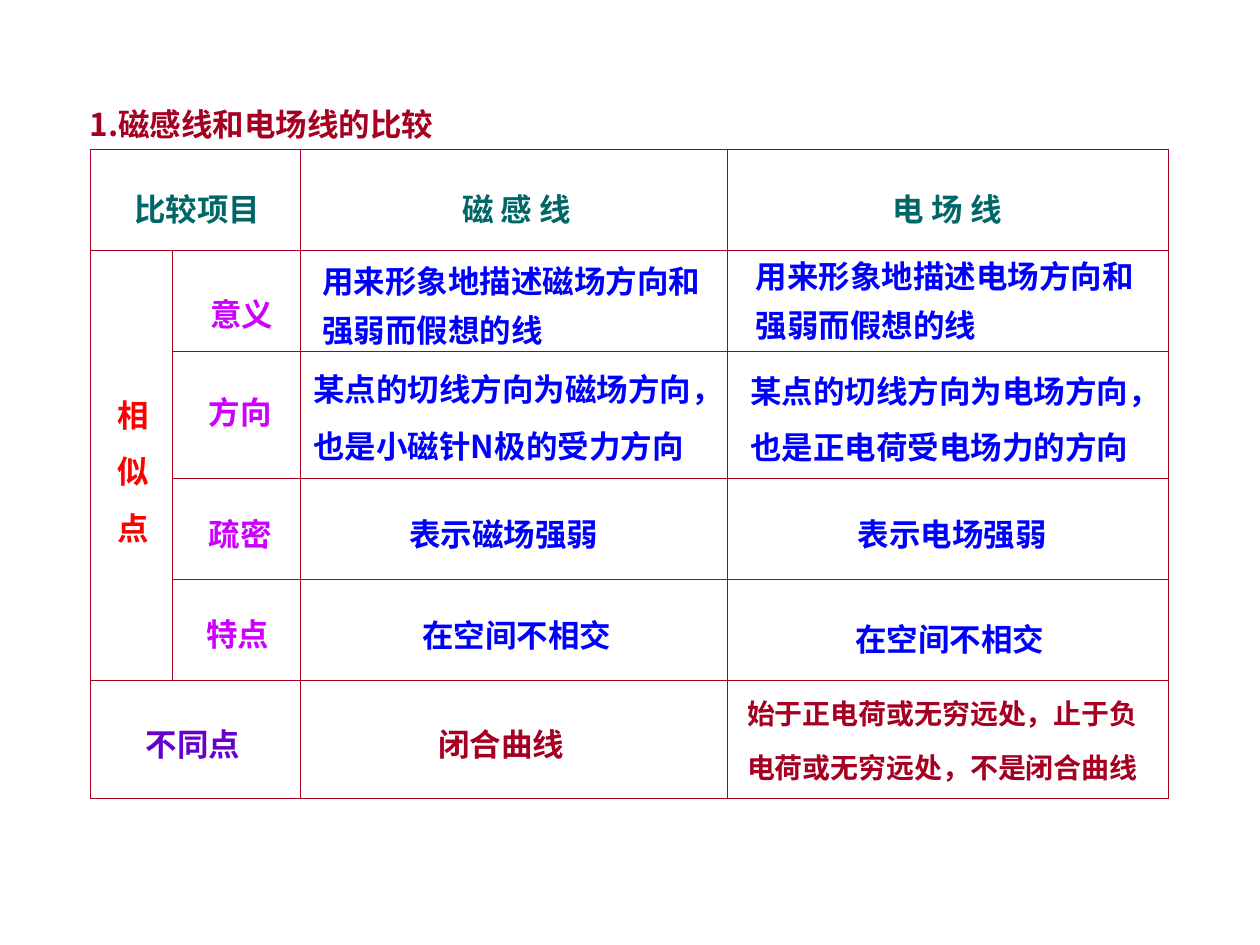
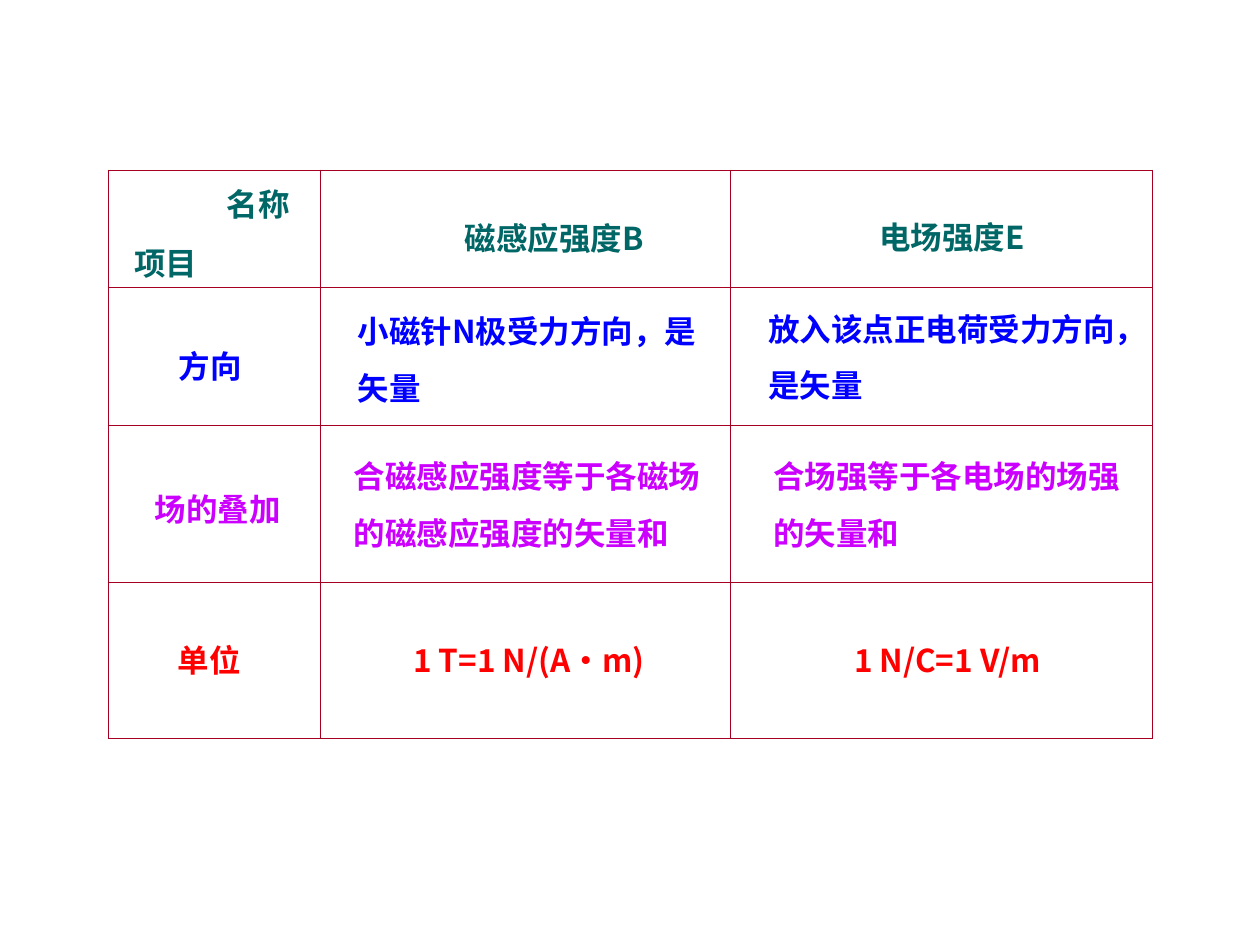
from lxml.etree import SubElement
from pptx import Presentation
from pptx.dml.color import RGBColor
from pptx.enum.text import MSO_ANCHOR, MSO_AUTO_SIZE, PP_ALIGN
from pptx.oxml.ns import qn
from pptx.util import Cm, Pt

FONT = "Noto Sans CJK SC"
CRIMSON = RGBColor(0xA5, 0x00, 0x21)
TEAL = RGBColor(0x00, 0x66, 0x66)
BLUE = RGBColor(0x00, 0x00, 0xFF)
MAGENTA = RGBColor(0xCC, 0x00, 0xFF)
PURPLE = RGBColor(0x66, 0x00, 0xCC)
RED = RGBColor(0xFF, 0x00, 0x00)
OUTER_LINE, INNER_LINE = Pt(0.75), Pt(0.45)
TITLE_ONLY, BLANK = 5, 6


class Lesson:
    """Holds the deck, its text and grid style, and the current slide."""

    def __init__(self):
        self.deck = Presentation()
        self.deck.slide_width, self.deck.slide_height = Cm(25.4), Cm(19.05)
        self.page = None

    def add_page(self, layout):
        self.page = self.deck.slides.add_slide(self.deck.slide_layouts[layout])

    def title(self, text, left, top, width):
        box = self.page.shapes.title
        self.place(box, left, top, width)
        self.set_text(box, text, CRIMSON)

    def label(self, text, left, top, width, color, size=18, spacing=1.5):
        box = self.page.shapes.add_textbox(0, 0, 0, 0)
        self.place(box, left, top, width)
        self.set_text(box, text, color, size, spacing)

    def place(self, box, left, top, width):
        box.left, box.top, box.width = Cm(left), Cm(top), Cm(width)

    def set_text(self, box, text, color, size=18, spacing=1.5):
        lines = text.split("\n")
        box.height = Cm(0.25 + 0.042 * size * spacing * len(lines))
        frame = box.text_frame
        frame.word_wrap = True
        frame.auto_size = MSO_AUTO_SIZE.SHAPE_TO_FIT_TEXT
        frame.vertical_anchor = MSO_ANCHOR.TOP
        frame.text = text
        for para in frame.paragraphs:
            para.alignment = PP_ALIGN.LEFT
            para.line_spacing = spacing
            para.space_before = Pt(0)
            para.font.size = Pt(size)
            para.font.bold = True
            para.font.color.rgb = color
            para.font.name = FONT
            east_asian = SubElement(para._p.pPr.find(qn("a:defRPr")), qn("a:ea"))
            east_asian.set("typeface", FONT)

    def grid(self, left, top, columns, rows, merges=()):
        frame = self.page.shapes.add_table(
            len(rows), len(columns), Cm(left), Cm(top), Cm(sum(columns)), Cm(sum(rows)))
        table = frame.table
        table.first_row = table.horz_banding = False
        for column, width in zip(table.columns, columns):
            column.width = Cm(width)
        for row, height in zip(table.rows, rows):
            row.height = Cm(height)
        for first, last in merges:
            table.cell(*first).merge(table.cell(*last))
        for r in range(len(rows)):
            for c in range(len(columns)):
                cell = table.cell(r, c)
                # The frame is heavier than the inner lines
                on_frame = {"L": c == 0, "R": c == len(columns) - 1,
                            "T": r == 0, "B": r == len(rows) - 1}
                for side, outer in on_frame.items():
                    self.border(cell, side, OUTER_LINE if outer else INNER_LINE)
                cell.fill.background()

    def border(self, cell, side, width):
        line = SubElement(cell._tc.get_or_add_tcPr(), qn(f"a:ln{side}"), w=str(int(width)))
        fill = SubElement(line, qn("a:solidFill"))
        SubElement(fill, qn("a:srgbClr"), val=str(CRIMSON))


def field_lines_page(lesson):
    lesson.add_page(TITLE_ONLY)
    lesson.title("1.磁感线和电场线的比较", 1.55, 1.6, 10.08)
    lesson.grid(1.83, 3.02, [1.65, 2.57, 8.61, 8.89],
                [2.03, 2.03, 2.57, 2.03, 2.03, 2.39],
                merges=[((0, 0), (0, 1)), ((1, 0), (4, 0)), ((5, 0), (5, 1))])

    # Column headings
    for text, left, width in [("比较项目", 2.46, 3.81), ("磁 感 线", 9.07, 3.81),
                              ("电 场 线", 17.75, 4.19)]:
        lesson.label(text, left, 3.33, width, TEAL)

    # Similarities
    lesson.label("相\n似\n点", 2.11, 7.47, 2.18, RED)
    for text, left, top in [("意义", 3.99, 5.44), ("方向", 3.96, 7.42),
                            ("疏密", 3.96, 9.88), ("特点", 3.91, 11.89)]:
        lesson.label(text, left, top, 2.74, MAGENTA)
    for text, left, top, width, spacing in [
        ("用来形象地描述磁场方向和\n强弱而假想的线", 6.25, 4.93, 9.8, 1.3),
        ("用来形象地描述电场方向和\n强弱而假想的线", 14.99, 4.83, 9.35, 1.3),
        ("某点的切线方向为磁场方向，\n也是小磁针N极的受力方向", 6.07, 6.96, 10.41, 1.5),
        ("某点的切线方向为电场方向，\n也是正电荷受电场力的方向", 14.88, 6.99, 9.42, 1.5),
        ("表示磁场强弱", 8, 9.88, 5.64, 1.5),
        ("表示电场强弱", 17.04, 9.88, 5.64, 1.5),
        ("在空间不相交", 8.26, 11.91, 5.64, 1.5),
        ("在空间不相交", 16.99, 11.99, 5.64, 1.5),
    ]:
        lesson.label(text, left, top, width, BLUE, spacing=spacing)

    # Differences
    lesson.label("不同点", 2.69, 14.12, 3.99, PURPLE)
    lesson.label("闭合曲线", 8.59, 14.12, 3.99, CRIMSON)
    lesson.label("始于正电荷或无穷远处，止于负\n电荷或无穷远处，不是闭合曲线",
                 14.81, 13.51, 10.06, CRIMSON, size=16, spacing=1.6)


def field_strength_page(lesson):
    lesson.add_page(BLANK)
    lesson.grid(2.18, 3.43, [4.27, 8.28, 8.51], [2.36, 2.79, 3.15, 3.15])
    for text, left, top, width, color in [
        # Headings
        ("名称", 4.32, 3.23, 3.45, TEAL),
        ("项目", 2.46, 4.42, 3.45, TEAL),
        ("磁感应强度B", 9.12, 3.91, 6.17, TEAL),
        ("电场强度E", 17.48, 3.89, 6.17, TEAL),
        # Direction
        ("方向", 3.35, 6.5, 2.87, BLUE),
        ("小磁针N极受力方向，是\n矢量", 6.96, 5.79, 8.33, BLUE),
        ("放入该点正电荷受力方向，\n是矢量", 15.24, 5.74, 9.37, BLUE),
        # Superposition
        ("场的叠加", 2.87, 9.37, 4.42, MAGENTA),
        ("合磁感应强度等于各磁场\n的磁感应强度的矢量和", 6.88, 8.71, 9.45, MAGENTA),
        ("合场强等于各电场的场强\n的矢量和", 15.34, 8.71, 8.69, MAGENTA),
        # Units
        ("单位", 3.33, 12.42, 2.87, RED),
        ("1 T=1 N/(A·m)", 8.08, 12.42, 6.27, RED),
        ("1 N/C=1 V/m", 16.97, 12.42, 6.27, RED),
    ]:
        lesson.label(text, left, top, width, color)


def main():
    lesson = Lesson()
    field_lines_page(lesson)
    field_strength_page(lesson)
    lesson.deck.save("out.pptx")


if __name__ == "__main__":
    main()
